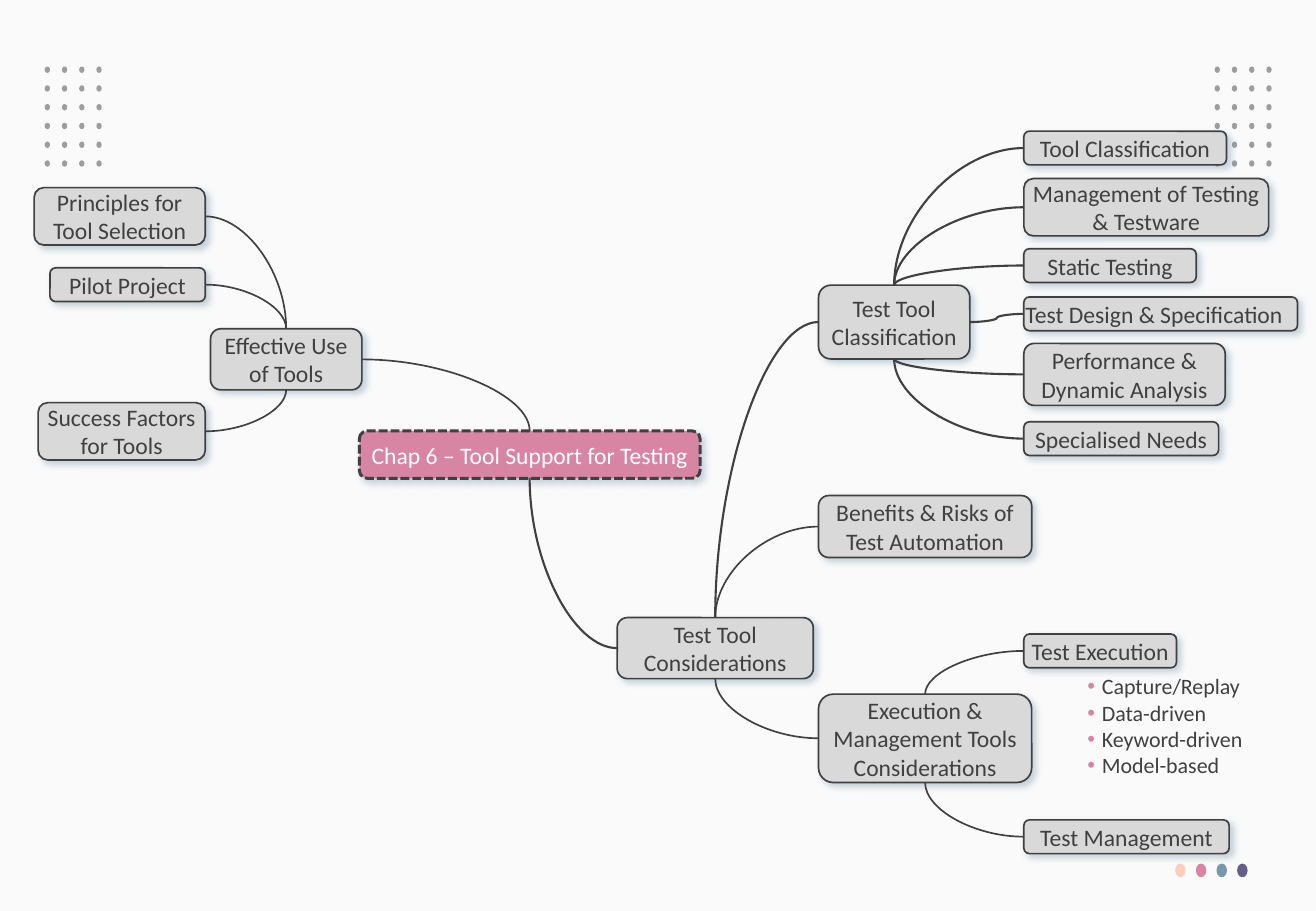
from itertools import product

from lxml.etree import SubElement
from pptx import Presentation
from pptx.dml.color import RGBColor
from pptx.enum.dml import MSO_LINE
from pptx.enum.shapes import MSO_CONNECTOR, MSO_SHAPE
from pptx.enum.text import MSO_ANCHOR, MSO_AUTO_SIZE, PP_ALIGN
from pptx.oxml.ns import qn
from pptx.util import Inches, Pt

COLORS = {
    "paper": "FAFAFA", "ink": "404040", "white": "FFFFFF", "box": "D9D9D9",
    "dot": "9D9D9D", "peach": "FDCEB9", "pink": "D885A3",
    "blue": "7897AB", "violet": "655D8A",
}
FONT = "Calibri"
TOP, LEFT, BOTTOM, RIGHT = range(4)

# Lengths are percentages of the slide's width and height.
WIDTH, HEIGHT = Inches(10.83), Inches(7.5)
LEAF_RIGHT, BRANCH_LEFT, LEAF_LEFT = 15.6, 62.2, 77.8
ONE_LINE, TWO_LINES, ROOMY = 3.7, 6.3, 6.8

CHAPTER = "Chap 6 – Tool Support for Testing"
USE = "Effective Use of Tools"
CONSIDERATIONS = "Test Tool Considerations"
CLASSIFICATION = "Test Tool Classification"
EXECUTION = "Execution & Management Tools Considerations"
DESIGN = "Test Design & Specification"

TOPICS = [
    (CHAPTER, 27.3, 47.3, 25.9, 5.2),
    (CONSIDERATIONS, 46.9, 67.8, 14.9, 6.7),
    (USE, 16, 36.1, 11.5, 6.7),
    (CLASSIFICATION, BRANCH_LEFT, 31.3, 11.5, 8.1),
    ("Benefits & Risks of Test Automation", BRANCH_LEFT, 54.4, 16.2, ROOMY),
    (EXECUTION, BRANCH_LEFT, 76.2, 16.2, 9.7),
    ("Principles for Tool Selection", LEAF_RIGHT - 13, 20.6, 13, TWO_LINES),
    ("Pilot Project", LEAF_RIGHT - 11.8, 29.4, 11.8, ONE_LINE),
    ("Success Factors for Tools", LEAF_RIGHT - 12.7, 44.2, 12.7, TWO_LINES),
    ("Tool Classification", LEAF_LEFT, 14.4, 15.4, ONE_LINE),
    ("Management of Testing & Testware", LEAF_LEFT, 19.6, 18.6, TWO_LINES),
    ("Static Testing", LEAF_LEFT, 27.3, 13.1, ONE_LINE),
    (DESIGN, LEAF_LEFT, 32.6, 20.8, ONE_LINE),
    ("Performance & Dynamic Analysis", LEAF_LEFT, 37.7, 15.3, ROOMY),
    ("Specialised Needs", LEAF_LEFT, 46.3, 14.8, ONE_LINE),
    ("Test Execution", LEAF_LEFT, 69.6, 11.6, ONE_LINE),
    ("Test Management", LEAF_LEFT, 90, 15.6, ONE_LINE),
]
BRANCHES = [
    (CHAPTER, TOP, RIGHT, 1, [USE]),
    (CHAPTER, BOTTOM, LEFT, 1.25, [CONSIDERATIONS]),
    (USE, TOP, RIGHT, 1, ["Principles for Tool Selection", "Pilot Project"]),
    (USE, BOTTOM, RIGHT, 1, ["Success Factors for Tools"]),
    (CONSIDERATIONS, TOP, LEFT, 1.25, [CLASSIFICATION]),
    (CONSIDERATIONS, TOP, LEFT, 1, ["Benefits & Risks of Test Automation"]),
    (CONSIDERATIONS, BOTTOM, LEFT, 1, [EXECUTION]),
    (CLASSIFICATION, TOP, LEFT, 1.25,
     ["Tool Classification", "Management of Testing & Testware", "Static Testing"]),
    (CLASSIFICATION, RIGHT, LEFT, 1.25, [DESIGN]),
    (CLASSIFICATION, BOTTOM, LEFT, 1.25,
     ["Performance & Dynamic Analysis", "Specialised Needs"]),
    (EXECUTION, TOP, LEFT, 1, ["Test Execution"]),
    (EXECUTION, BOTTOM, LEFT, 1, ["Test Management"]),
]
TECHNIQUES = ["Capture/Replay", "Data-driven", "Keyword-driven", "Model-based"]
TECHNIQUES_AREA = (81.7, 73.2, 15.1, 13.1)

DOT_GRIDS = [3.4, 92.3]
DOT_COLUMNS, DOT_ROWS = 4, 6
ACCENTS = ["peach", "pink", "blue", "violet"]


def rgb(color):
    return RGBColor.from_string(COLORS[color])


def place(left, top, width, height):
    return [round(share * side / 100) for share, side in
            zip((left, top, width, height), (WIDTH, HEIGHT) * 2)]


def write(frame, lines, size=14, color="ink", align=PP_ALIGN.CENTER, bullet=None):
    frame.word_wrap = True
    for index, line in enumerate(lines):
        paragraph = frame.add_paragraph() if index else frame.paragraphs[0]
        paragraph.alignment = align
        paragraph.space_before = Pt(0)
        if bullet:
            properties = paragraph._p.get_or_add_pPr()
            properties.set("marL", str(Inches(0.12)))
            properties.set("indent", str(-Inches(0.12)))
            tint = SubElement(properties, qn("a:buClr"))
            SubElement(tint, qn("a:srgbClr"), val=COLORS[bullet])
            SubElement(properties, qn("a:buFont"), typeface="Arial")
            SubElement(properties, qn("a:buChar"), char="•")
        run = paragraph.add_run()
        run.text = line
        run.font.name, run.font.size = FONT, Pt(size)
        run.font.color.rgb = rgb(color)


def draw(slide, kind, area, fill):
    shape = slide.shapes.add_shape(kind, *place(*area))
    shape.shadow.inherit = False
    shape.fill.solid()
    shape.fill.fore_color.rgb = rgb(fill)
    shape.line.fill.background()
    return shape


def add_topic(slide, text, *area):
    central = text == CHAPTER
    topic = draw(slide, MSO_SHAPE.ROUNDED_RECTANGLE, area, "pink" if central else "box")
    topic.line.color.rgb = rgb("ink")
    topic.line.width = Pt(1.75 if central else 1)
    if central:
        topic.line.dash_style = MSO_LINE.SQUARE_DOT
    glow = SubElement(topic._element.spPr.find(qn("a:effectLst")), qn("a:outerShdw"),
                      blurRad=str(Pt(4)), dist=str(Pt(3)), dir="2700000",
                      algn="tl", rotWithShape="0")
    tint = SubElement(glow, qn("a:srgbClr"), val=COLORS["blue"])
    SubElement(tint, qn("a:alpha"), val="40000")
    frame = topic.text_frame
    frame.margin_left = frame.margin_right = 0
    frame.margin_top = frame.margin_bottom = Inches(0.04)
    frame.vertical_anchor = MSO_ANCHOR.MIDDLE
    write(frame, [text], color="white" if central else "ink",
          align=PP_ALIGN.LEFT if text == DESIGN else PP_ALIGN.CENTER)
    return topic


def join(slide, child, child_side, parent, parent_side, weight):
    curve = slide.shapes.add_connector(MSO_CONNECTOR.CURVE, 0, 0, 0, 0)
    curve.begin_connect(child, child_side)
    curve.end_connect(parent, parent_side)
    curve.line.color.rgb = rgb("ink")
    curve.line.width = Pt(weight)
    properties = curve._element.spPr
    if parent_side in (TOP, BOTTOM):
        properties.find(qn("a:prstGeom")).set("prst", "curvedConnector2")
    SubElement(properties, qn("a:effectLst"))


def main():
    deck = Presentation()
    deck.slide_width, deck.slide_height = WIDTH, HEIGHT
    slide = deck.slides.add_slide(deck.slide_layouts[1])
    slide.background.fill.solid()
    slide.background.fill.fore_color.rgb = rgb("paper")
    heading = slide.shapes.title._element
    heading.getparent().remove(heading)

    for start, row, column in product(DOT_GRIDS, range(DOT_ROWS), range(DOT_COLUMNS)):
        area = (start + 1.31 * column, 7.3 + 2.06 * row, 0.4, 0.7)
        draw(slide, MSO_SHAPE.OVAL, area, "dot")
    for index, accent in enumerate(ACCENTS):
        draw(slide, MSO_SHAPE.OVAL, (89.3 + 1.57 * index, 94.8, 0.8, 1.5), accent)

    topics = {text: add_topic(slide, text, *area) for text, *area in TOPICS}
    for parent, parent_side, child_side, weight, children in BRANCHES:
        for child in children:
            join(slide, topics[child], child_side, topics[parent], parent_side, weight)

    techniques = slide.placeholders[1]
    (techniques.left, techniques.top,
     techniques.width, techniques.height) = place(*TECHNIQUES_AREA)
    techniques.text_frame.auto_size = MSO_AUTO_SIZE.NONE
    write(techniques.text_frame, TECHNIQUES, size=13, align=PP_ALIGN.LEFT, bullet="pink")

    deck.save("out.pptx")


if __name__ == "__main__":
    main()
